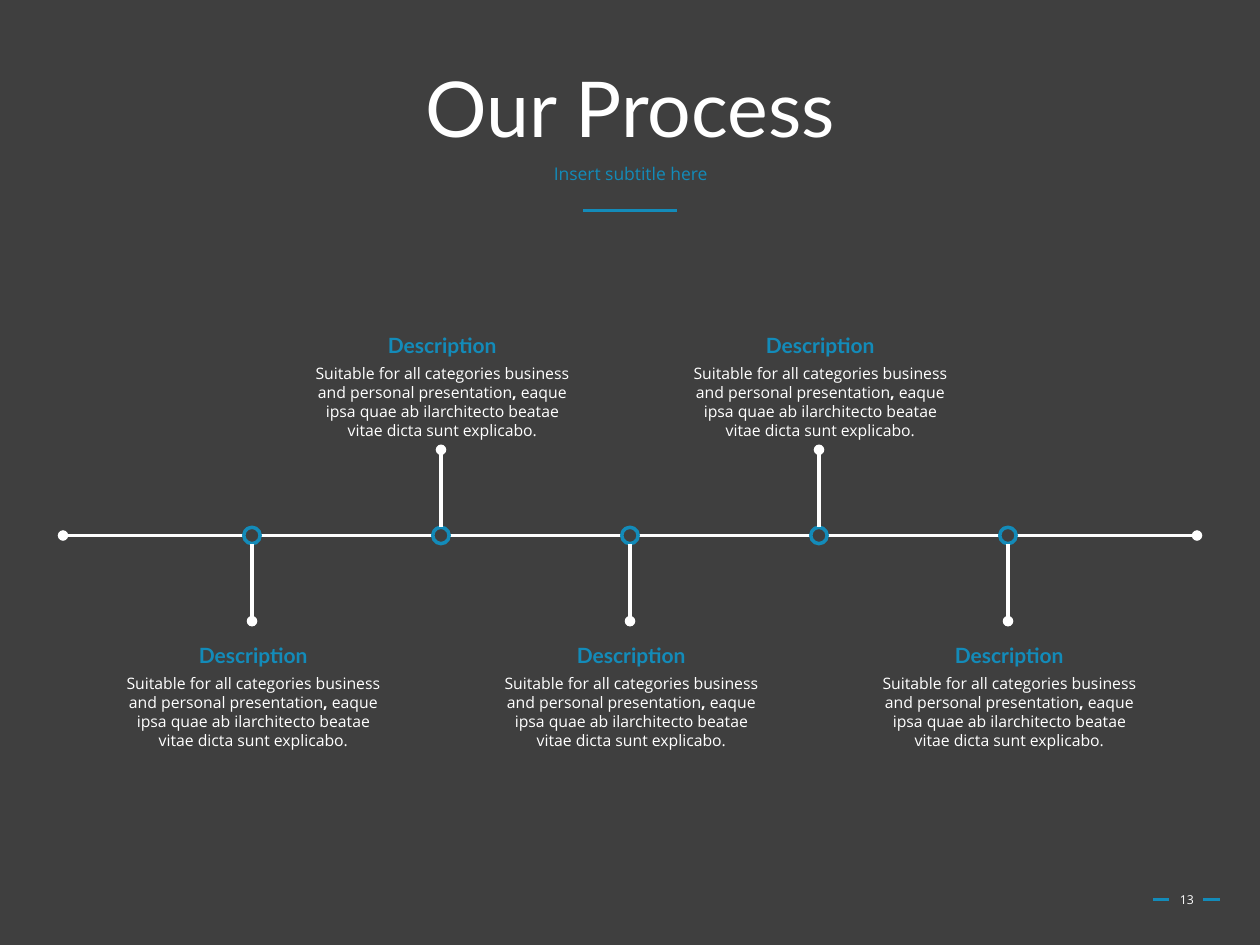
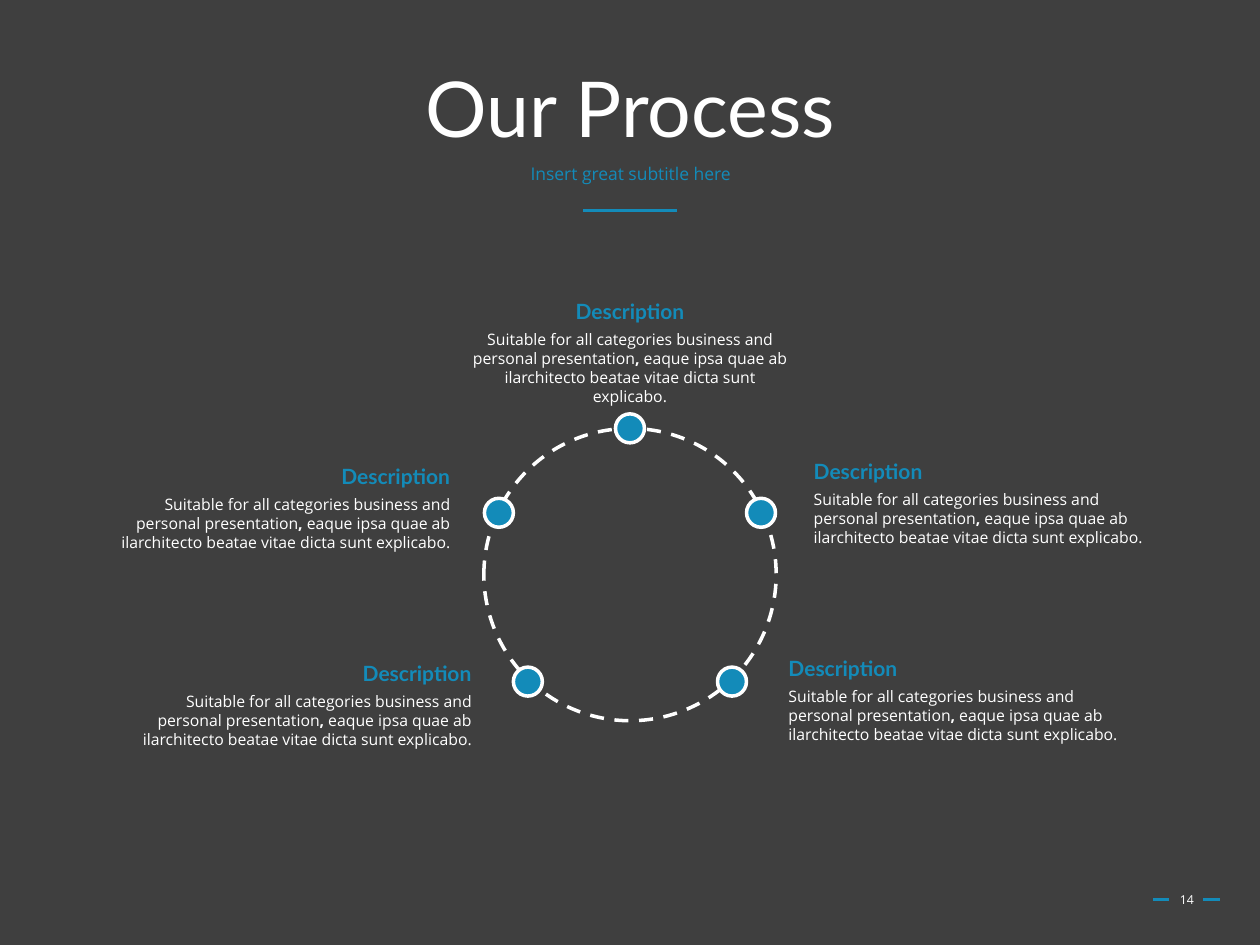
from lxml import etree
from pptx import Presentation
from pptx.dml.color import RGBColor
from pptx.enum import dml, shapes, text
from pptx.oxml.ns import qn
from pptx.util import Inches, Pt

COLORS = {"back": "3F3F3F", "accent": "138BB9", "white": "FFFFFF"}
HEAD_FONT, BODY_FONT = "Lato", "Open Sans"
LEFT, CENTER, RIGHT = text.PP_ALIGN.LEFT, text.PP_ALIGN.CENTER, text.PP_ALIGN.RIGHT
TITLE_LEFT, TITLE_WIDTH = 0.69, 8.63
BODY_RUNS = [
    ("Suitable for all categories business and personal presentation", False),
    (",", True),
    (" eaque ipsa quae ab ilarchitecto beatae vitae dicta sunt explicabo.", False),
]


def color(name):
    return RGBColor.from_string(COLORS[name])


def add_run(p, words, font, size, fill, bold=False):
    r = p.add_run()
    r.text = words
    r.font.name = font
    r.font.size = Pt(size)
    r.font.bold = bold
    r.font.color.rgb = color(fill)


def add_text_box(slide, left, top, width, height, align=CENTER):
    """Add a wrapping text box and return its text frame and first paragraph."""
    sp = slide.shapes.add_textbox(Inches(left), Inches(top), Inches(width), Inches(height))
    tf = sp.text_frame
    tf.word_wrap = True
    p = tf.paragraphs[0]
    p.alignment = align
    return tf, p


def add_line(slide, x1, y1, x2, y2, fill="white", width=2, head=False, tail=False):
    """Add a straight line, with round ends where asked for."""
    line = slide.shapes.add_connector(
        shapes.MSO_CONNECTOR.STRAIGHT, Inches(x1), Inches(y1), Inches(x2), Inches(y2))
    line.line.color.rgb = color(fill)
    line.line.width = Pt(width)
    ln = line.line._get_or_add_ln()
    for tag, wanted in (("a:headEnd", head), ("a:tailEnd", tail)):
        if wanted:
            etree.SubElement(ln, qn(tag), type="oval")
    etree.SubElement(line._element.spPr, qn("a:effectLst"))


def add_circle(slide, x, y, size, fill, outline):
    """Add a circle centred on x, y; fill may be None."""
    sp = slide.shapes.add_shape(
        shapes.MSO_SHAPE.OVAL, Inches(x - size / 2), Inches(y - size / 2),
        Inches(size), Inches(size))
    sp.shadow.inherit = False
    if fill:
        sp.fill.solid()
        sp.fill.fore_color.rgb = color(fill)
    else:
        sp.fill.background()
    sp.line.color.rgb = color(outline)
    sp.line.width = Pt(2)
    return sp


def add_callout(slide, left, top, width, align=CENTER):
    """Add a bold heading with a short description below it."""
    tf, p = add_text_box(slide, left, top, width, 0.3, align)
    tf.auto_size = text.MSO_AUTO_SIZE.SHAPE_TO_FIT_TEXT
    add_run(p, "Description", HEAD_FONT, 12, "accent", True)

    tf, p = add_text_box(slide, left, top + 0.25, width, 0.55 if align != CENTER else 0.7, align)
    tf.auto_size = text.MSO_AUTO_SIZE.SHAPE_TO_FIT_TEXT
    for words, bold in BODY_RUNS:
        add_run(p, words, BODY_FONT, 9, "white", bold)


def add_base_slide(prs, title, subtitle, number):
    """Add a slide with title, subtitle, rule and page number."""
    slide = prs.slides.add_slide(prs.slide_layouts[5])

    # Title
    sp = slide.shapes.title
    sp.left, sp.top = Inches(TITLE_LEFT), Inches(0.4)
    sp.width, sp.height = Inches(TITLE_WIDTH), Inches(0.98)
    tf = sp.text_frame
    tf.auto_size = text.MSO_AUTO_SIZE.NONE
    tf.vertical_anchor = text.MSO_ANCHOR.MIDDLE
    p = tf.paragraphs[0]
    p.alignment = CENTER
    p.line_spacing = 0.9
    add_run(p, title, HEAD_FONT, 44, "white")

    # Subtitle and rule
    _, p = add_text_box(slide, TITLE_LEFT, 1.26, TITLE_WIDTH, 0.4)
    p.line_spacing = 0.9
    add_run(p, subtitle, BODY_FONT, 10, "accent")
    add_line(slide, 4.63, 1.67, 5.37, 1.67, "accent", 1.75)

    # Page number between two dashes
    tf, p = add_text_box(slide, 9.2, 6.94, 0.44, 0.4)
    tf.vertical_anchor = text.MSO_ANCHOR.MIDDLE
    add_run(p, str(number), BODY_FONT, 7, "white")
    for x in (9.15, 9.55):
        add_line(slide, x, 7.14, x + 0.13, 7.14, "accent", 1.75)
    return slide


def add_timeline(slide):
    """Draw five steps on an axis, with callouts below and above in turn."""
    axis_y, gap, reach, width = 4.25, 0.07, 0.68, 2.28
    add_line(slide, 0.5, axis_y, 9.5, axis_y, head=True, tail=True)
    for i in range(5):
        x = 5 + 1.5 * (i - 2)
        add_circle(slide, x, axis_y, 0.13, "back", "accent")
        if i % 2 == 0:
            add_line(slide, x, axis_y + gap, x, axis_y + reach, tail=True)
            top = 5.05
        else:
            add_line(slide, x, axis_y - reach, x, axis_y - gap, head=True)
            top = 2.59
        add_callout(slide, x - width / 2 + 0.01, top, width)


def add_cycle(slide):
    """Draw a dashed ring with five points and a callout for each."""
    x, y, diameter = 5, 4.56, 2.32
    ring = add_circle(slide, x, y, diameter, None, "white")
    ring.line.dash_style = dml.MSO_LINE.DASH

    # Points: one on top, then two mirrored pairs
    points = [(0, -1.16)]
    for dx, dy in ((1.04, -0.49), (0.81, 0.85)):
        points += [(-dx, dy), (dx, dy)]
    for dx, dy in points:
        add_circle(slide, x + dx, y + dy, 0.23, "accent", "white")

    # Callouts around the ring
    for left, top, width, align in (
        (3.62, 2.32, 2.76, CENTER),
        (6.36, 3.59, 2.83, LEFT),
        (6.16, 5.15, 2.83, LEFT),
        (0.82, 3.63, 2.85, RIGHT),
        (0.99, 5.19, 2.85, RIGHT),
    ):
        add_callout(slide, left, top, width, align)


def main():
    prs = Presentation()
    prs.slide_width, prs.slide_height = Inches(10), Inches(7.5)

    # Shared background
    back = prs.slide_master.background.fill
    back.solid()
    back.fore_color.rgb = color("back")

    add_timeline(add_base_slide(prs, "Our Process", "Insert subtitle here", 13))
    add_cycle(add_base_slide(prs, "Our Process", "Insert great subtitle here", 14))
    prs.save("out.pptx")


if __name__ == "__main__":
    main()
